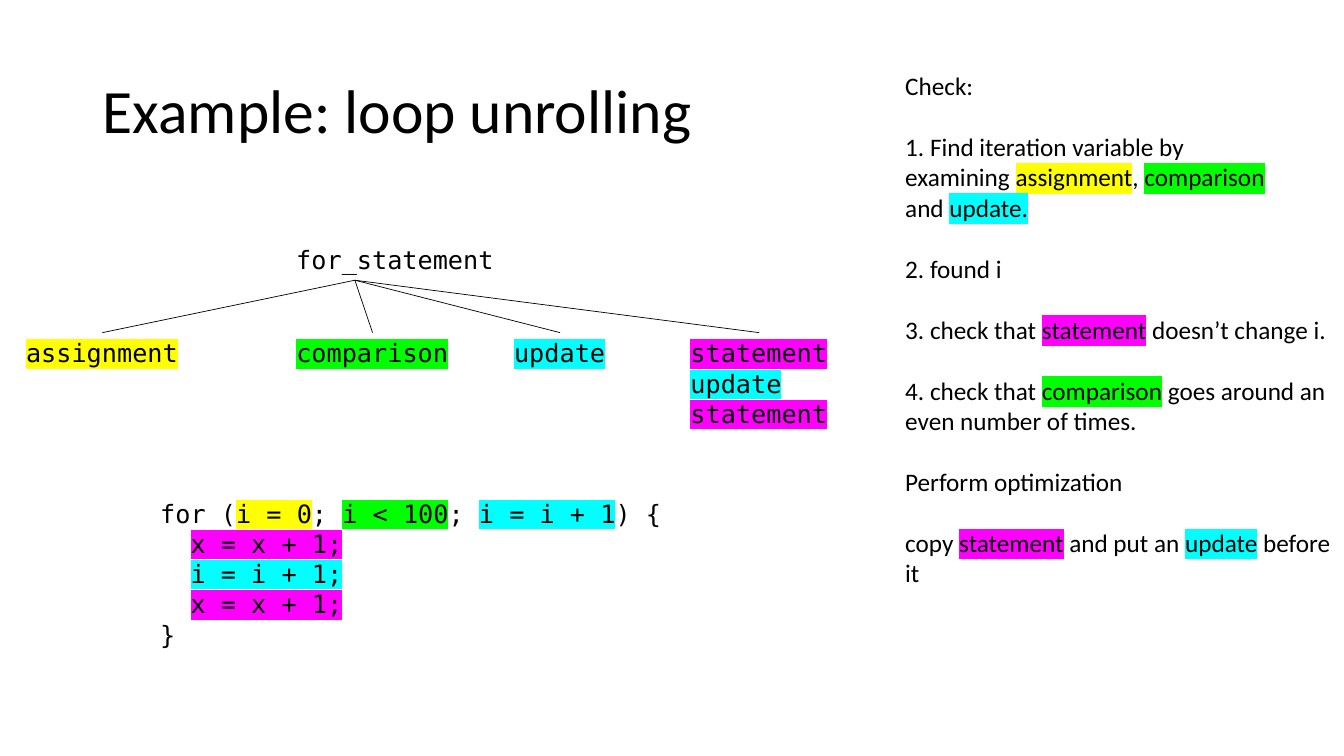
from lxml import etree
from pptx import Presentation
from pptx import util as u
from pptx.dml.color import RGBColor
from pptx.enum import shapes, text
from pptx.oxml import ns

BLACK = "000000"
YELLOW, GREEN, CYAN, MAGENTA = "FFFF00", "00FF00", "00FFFF", "FF00FF"
SANS, MONO = "Calibri", "DejaVu Sans Mono"


def color(value):
    return RGBColor.from_string(value)


class SlideBuilder:
    body_size = 18
    blank_line = 22
    line_width = 0.5

    def __init__(self, slide):
        self.slide = slide

    def highlight(self, run, value):
        mark = etree.Element(ns.qn("a:highlight"))
        etree.SubElement(mark, ns.qn("a:srgbClr"), val=value)
        run.font._element.find(ns.qn("a:solidFill")).addnext(mark)

    def fill_paragraph(self, paragraph, pieces, font, size):
        for piece in pieces:
            words, mark = piece if isinstance(piece, tuple) else (piece, None)
            run = paragraph.add_run()
            run.text = words
            run.font.name = font
            run.font.size = u.Pt(size)
            run.font.color.rgb = color(BLACK)
            if mark:
                self.highlight(run, mark)

    def text_box(self, place, lines, font=MONO, size=body_size, wrap=False, gaps=()):
        shape = self.slide.shapes.add_textbox(*map(u.Inches, place))
        frame = shape.text_frame
        frame.word_wrap = wrap
        frame.auto_size = text.MSO_AUTO_SIZE.SHAPE_TO_FIT_TEXT
        for index, pieces in enumerate(lines):
            paragraph = frame.add_paragraph() if index else frame.paragraphs[0]
            if index in gaps:
                paragraph.space_before = u.Pt(self.blank_line)
            self.fill_paragraph(paragraph, pieces, font, size)
        return shape

    def title(self, place, words):
        shape = self.text_box(place, [[words]], SANS, 44, wrap=True)
        shape.text_frame.auto_size = text.MSO_AUTO_SIZE.NONE
        shape.text_frame.vertical_anchor = text.MSO_ANCHOR.MIDDLE
        shape.text_frame.paragraphs[0].line_spacing = 0.9

    def branch(self, start, child):
        x, y = map(u.Inches, start)
        line = self.slide.shapes.add_connector(
            shapes.MSO_CONNECTOR.STRAIGHT, x, y, child.left, child.top)
        line.end_connect(child, 0)
        line.line.color.rgb = color(BLACK)
        line.line.width = u.Pt(self.line_width)
        etree.SubElement(line._element.spPr, ns.qn("a:effectLst"))


def main():
    presentation = Presentation()
    presentation.slide_width = u.Inches(13.33)
    presentation.slide_height = u.Inches(7.5)
    builder = SlideBuilder(presentation.slides.add_slide(presentation.slide_layouts[6]))

    builder.title((0.92, 0.4, 11.5, 1.45), "Example: loop unrolling")

    assignment = ("assignment", YELLOW)
    comparison = ("comparison", GREEN)
    update = ("update", CYAN)
    statement = ("statement", MAGENTA)

    builder.text_box((2.84, 2.37, 2.16, 0.4), [["for_statement"]])
    children = [
        (0.16, 1.71, [assignment]),
        (2.84, 1.71, [comparison]),
        (5, 1.11, [update]),
        (6.75, 1.56, [statement, update, statement]),
    ]
    for left, width, labels in children:
        height = 0.1 + 0.3 * len(labels)
        child = builder.text_box((left, 3.3, width, height), [[label] for label in labels])
        builder.branch((3.52, 2.78), child)

    work = ["  ", ("x = x + 1;", MAGENTA)]
    builder.text_box((1.49, 4.89, 5.18, 1.62), [
        ["for (", ("i = 0", YELLOW), "; ", ("i < 100", GREEN), "; ",
         ("i = i + 1", CYAN), ") {"],
        work,
        ["  ", ("i = i + 1;", CYAN)],
        work,
        ["}"],
    ])

    builder.text_box((8.88, 0.65, 4.47, 5.25), [
        ["Check:"],
        ["1. Find iteration variable by"],
        ["examining ", assignment, ", ", comparison],
        ["and ", ("update.", CYAN)],
        ["2. found i"],
        ["3. check that ", statement, " doesn’t change i."],
        ["4. check that ", comparison, " goes around an even number of times."],
        ["Perform optimization"],
        ["copy ", statement, " and put an ", update, " before it"],
    ], SANS, wrap=True, gaps=(1, 4, 5, 6, 7, 8))

    presentation.save("out.pptx")


if __name__ == "__main__":
    main()
